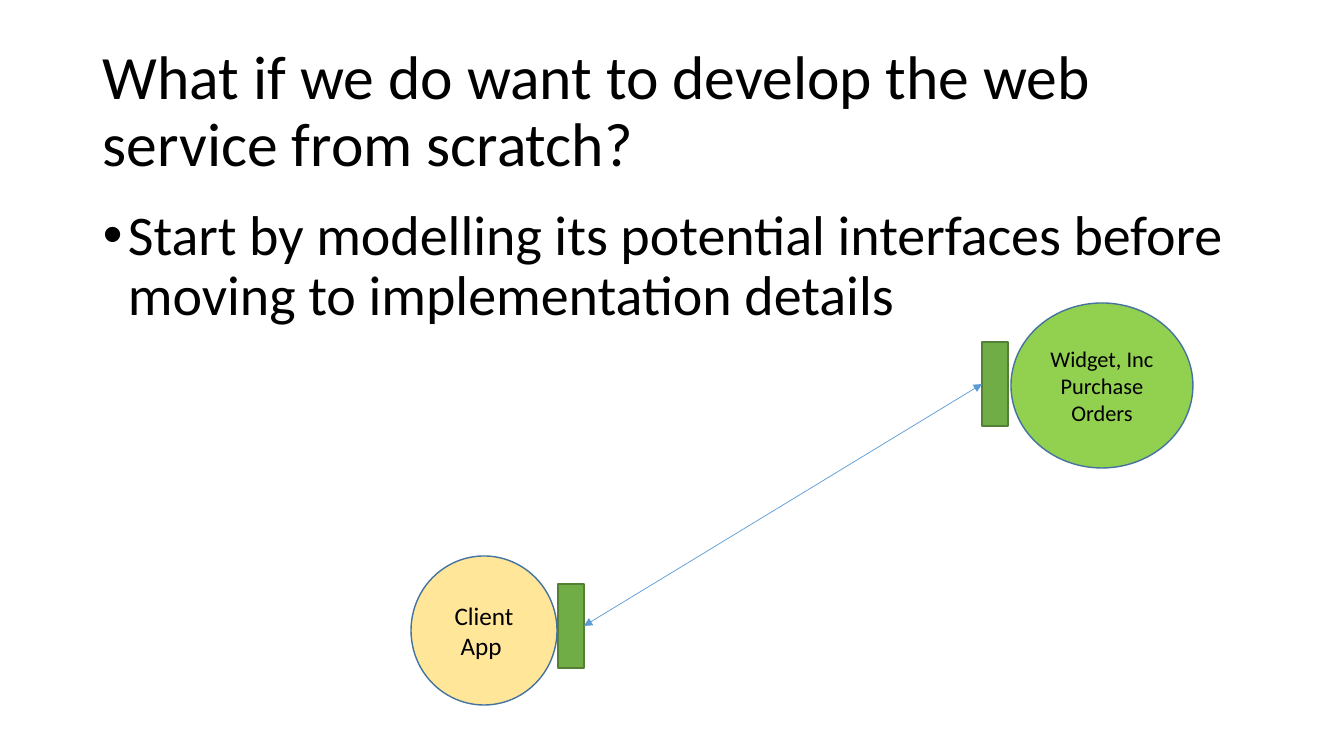
from lxml import etree
from pptx import Presentation
from pptx.dml.color import RGBColor
from pptx.enum.shapes import MSO_CONNECTOR, MSO_SHAPE
from pptx.enum.text import MSO_ANCHOR, PP_ALIGN
from pptx.oxml.ns import qn
from pptx.util import Pt

EMU_PER_PX = 914400 / 100.8
STRAIGHT = MSO_CONNECTOR.STRAIGHT
CIRCLE = MSO_SHAPE.FLOWCHART_CONNECTOR
RECTANGLE = MSO_SHAPE.RECTANGLE
MIDDLE, TOP = MSO_ANCHOR.MIDDLE, MSO_ANCHOR.TOP
CENTER, LEFT = PP_ALIGN.CENTER, PP_ALIGN.LEFT
LEFT_SIDE, RIGHT_SIDE = 1, 3
BULLET_INDENT = 25


def px(length):
    return round(length * EMU_PER_PX)


def box(*lengths):
    return [px(length) for length in lengths]


def color(hex_value):
    return RGBColor.from_string(hex_value)


def apply(target, formats):
    for name, value in formats.items():
        setattr(target, name, value)


def write(frame, lines, size, anchor, align, **paragraph_format):
    apply(frame, {"word_wrap": True, "vertical_anchor": anchor})
    for index, line in enumerate(lines):
        paragraph = frame.add_paragraph() if index else frame.paragraphs[0]
        apply(paragraph, {"alignment": align, **paragraph_format})
        run = paragraph.add_run()
        run.text = line
        apply(run.font, {"name": "Calibri", "size": Pt(size)})
        run.font.color.rgb = color("000000")


def add_text(slide, bounds, line, size, anchor, **paragraph_format):
    frame = slide.shapes.add_textbox(*box(*bounds)).text_frame
    write(frame, [line], size, anchor, LEFT, line_spacing=0.9, **paragraph_format)
    return frame.paragraphs[0]


def add_bullet(paragraph):
    properties = paragraph._p.get_or_add_pPr()
    properties.set("marL", str(px(BULLET_INDENT)))
    properties.set("indent", str(-px(BULLET_INDENT)))
    etree.SubElement(properties, qn("a:buFont"), typeface="Arial")
    etree.SubElement(properties, qn("a:buChar"), char="•")


def add_figure(slide, preset, bounds, fill, outline):
    figure = slide.shapes.add_shape(preset, *box(*bounds))
    figure.shadow.inherit = False
    figure.fill.solid()
    figure.fill.fore_color.rgb = color(fill)
    figure.line.color.rgb = color(outline)
    figure.line.width = Pt(1)
    return figure


def add_party(slide, bounds, fill, lines, size):
    party = add_figure(slide, CIRCLE, bounds, fill, "43739E")
    write(party.text_frame, lines, size, MIDDLE, CENTER)


def add_interface(slide, left, top):
    return add_figure(slide, RECTANGLE, (left, top, 26, 84), "70AD47", "538035")


def add_exchange(slide, start, end):
    exchange = slide.shapes.add_connector(STRAIGHT, 0, 0, 0, 0)
    exchange.begin_connect(start, RIGHT_SIDE)
    exchange.end_connect(end, LEFT_SIDE)
    exchange.line.color.rgb = color("5B9BD5")
    exchange.line.width = Pt(0.5)
    outline = exchange.line._get_or_add_ln()
    for tag in ("a:headEnd", "a:tailEnd"):
        etree.SubElement(outline, qn(tag), type="triangle")
    etree.SubElement(exchange._element.spPr, qn("a:effectLst"))


def main():
    deck = Presentation()
    apply(deck, {"slide_width": px(1344), "slide_height": px(756)})
    slide = deck.slides.add_slide(deck.slide_layouts[6])

    add_text(slide, (93, 40, 1159, 146),
             "What if we do want to develop the web service from scratch?", 44, MIDDLE)
    advice = add_text(
        slide, (93, 202, 1159, 480),
        "Start by modelling its potential interfaces before moving to implementation details",
        40, TOP, space_before=Pt(10))
    add_bullet(advice)

    add_party(slide, (1011, 303, 182, 165), "92D050", ["Widget, Inc", "Purchase Orders"], 16)
    add_party(slide, (411, 556, 146, 149), "FFE699", ["Client App "], 18)
    client_interface = add_interface(slide, 558, 584)
    service_interface = add_interface(slide, 982, 342)
    add_exchange(slide, client_interface, service_interface)

    deck.save("out.pptx")


if __name__ == "__main__":
    main()
